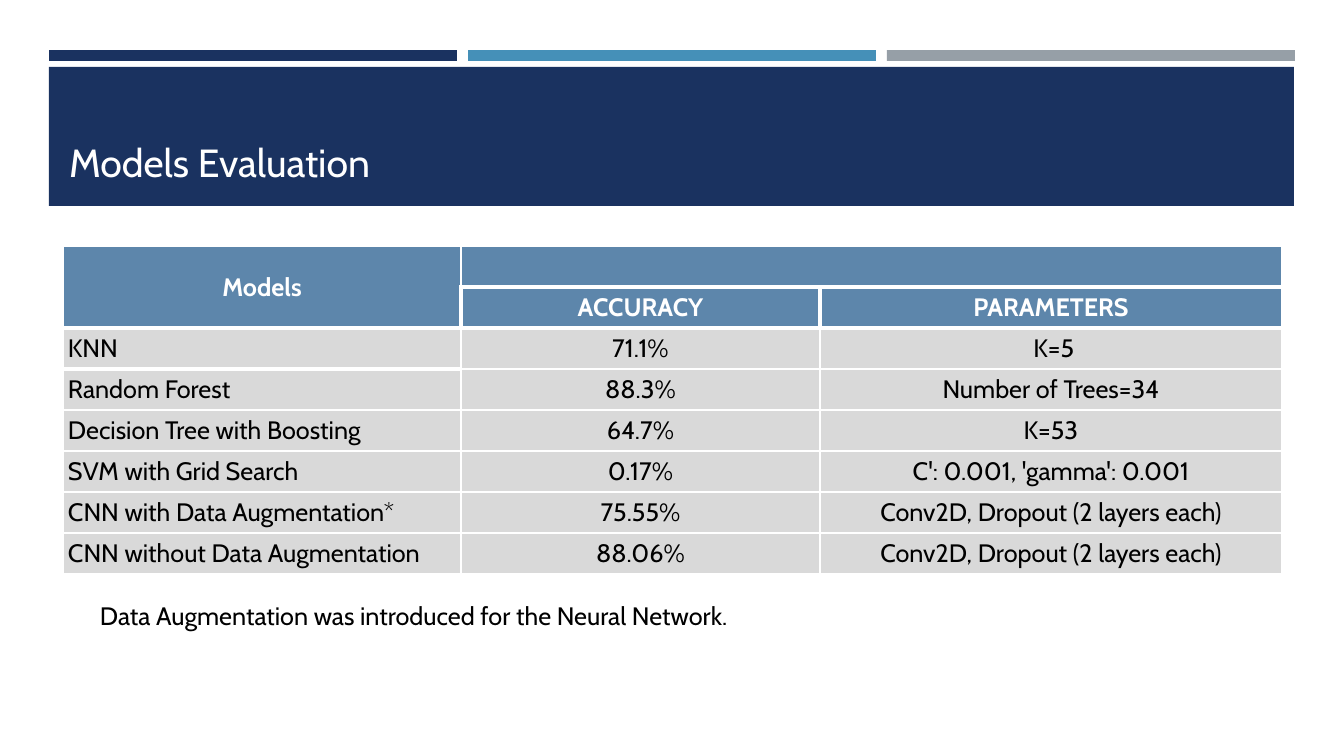
import pptx
import pptx.dml.color
import pptx.enum.dml
import pptx.enum.shapes
import pptx.enum.text
import pptx.oxml
import pptx.oxml.ns
import pptx.util

PX = 914400 / 100.8
ALIGN = pptx.enum.text.PP_ALIGN
ANCHOR = pptx.enum.text.MSO_ANCHOR
FIT = pptx.enum.text.MSO_AUTO_SIZE
THEME = {
    "font": "Cabin",
    "title_size": 28,
    "body_size": 18,
    "navy": "1A3260",
    "blue": "4590B8",
    "gray": "969FA7",
    "header": "5D86AB",
    "body": "D9D9D9",
    "white": "FFFFFF",
    "black": "000000",
}


def px(*lengths):
    return [pptx.util.Emu(round(length * PX)) for length in lengths]


def write(text, frame, size="body_size", color="black", bold=False, align=ALIGN.LEFT):
    paragraph = frame.paragraphs[0]
    paragraph.alignment = align
    run = paragraph.add_run()
    run.text = text
    run.font.name = THEME["font"]
    run.font.size = pptx.util.Pt(THEME[size])
    run.font.bold = bold
    run.font.color.rgb = pptx.dml.color.RGBColor.from_string(THEME[color])


deck = pptx.Presentation()
deck.slide_width, deck.slide_height = px(1344, 756)
slide = deck.slides.add_slide(deck.slide_layouts[6])

bands = [
    (49, 50, 408, 11, "navy"),
    (468, 50, 408, 11, "blue"),
    (887, 50, 408, 11, "gray"),
    (49, 67, 1245, 139, "navy"),
]
for left, top, width, height, color in bands:
    band = slide.shapes.add_shape(
        pptx.enum.shapes.MSO_SHAPE.RECTANGLE, *px(left, top, width, height)
    )
    band.shadow.inherit = False
    band.fill.solid()
    band.fill.fore_color.rgb = pptx.dml.color.RGBColor.from_string(THEME[color])
    band.line.fill.background()

inset = px(5)[0]
captions = [
    ("Models Evaluation", (64, 81, 1216, 109), ANCHOR.BOTTOM, FIT.NONE,
     {"size": "title_size", "color": "white"}),
    ("Data Augmentation was introduced for the Neural Network.", (95, 595, 971, 39),
     ANCHOR.TOP, FIT.SHAPE_TO_FIT_TEXT, {}),
]
for text, place, anchor, fit, style in captions:
    frame = slide.shapes.add_textbox(*px(*place)).text_frame
    frame.word_wrap = True
    frame.auto_size = fit
    frame.vertical_anchor = anchor
    frame.margin_left = frame.margin_right = inset
    frame.margin_top = frame.margin_bottom = inset
    write(text, frame, **style)

results = [
    ("Models", "", ""),
    ("", "ACCURACY", "PARAMETERS"),
    ("KNN", "71.1%", " K=5"),
    ("Random Forest", "88.3%", "Number of Trees=34"),
    ("Decision Tree with Boosting", "64.7%", "K=53"),
    ("SVM with Grid Search", "0.17%", "C': 0.001, 'gamma': 0.001"),
    ("CNN with Data Augmentation*", "75.55%", "Conv2D, Dropout (2 layers each)"),
    ("CNN without Data Augmentation", "88.06%", "Conv2D, Dropout (2 layers each)"),
]
header_rows = 2
column_widths = [398, 359, 462]
row_height = 41
evaluation = slide.shapes.add_table(
    len(results), len(column_widths),
    *px(63, 246, sum(column_widths), row_height * len(results)),
).table
for column, width in zip(evaluation.columns, px(*column_widths)):
    column.width = width
for row in evaluation.rows:
    row.height = px(row_height)[0]
evaluation.cell(0, 0).merge(evaluation.cell(1, 0))
evaluation.cell(0, 1).merge(evaluation.cell(0, 2))

heavy_horizontal = {(1, 1), (1, 2), (2, 0), (2, 1), (2, 2), (3, 0)}
heavy_vertical = {(1, 1), (1, 2)}
for r, labels in enumerate(results):
    is_header = r < header_rows
    for c, label in enumerate(labels):
        cell = evaluation.cell(r, c)
        cell.margin_left = cell.margin_right = inset
        cell.margin_top = cell.margin_bottom = inset
        cell.vertical_anchor = ANCHOR.MIDDLE if (r, c) == (0, 0) else ANCHOR.TOP
        if label:
            write(
                label, cell.text_frame, bold=is_header,
                color="white" if is_header else "black",
                align=ALIGN.CENTER if is_header or c else ALIGN.LEFT,
            )
        bottom = r + (cell.span_height if cell.is_merge_origin else 1)
        right = c + (cell.span_width if cell.is_merge_origin else 1)
        edges = {
            "lnL": (r, c) in heavy_vertical,
            "lnR": (r, right) in heavy_vertical,
            "lnT": (r, c) in heavy_horizontal,
            "lnB": (bottom, c) in heavy_horizontal,
        }
        properties = cell._tc.get_or_add_tcPr()
        for side, heavy in edges.items():
            properties.append(pptx.oxml.parse_xml(
                f'<a:{side} {pptx.oxml.ns.nsdecls("a")} w="{pptx.util.Pt(3 if heavy else 1)}">'
                f'<a:solidFill><a:srgbClr val="{THEME["white"]}"/></a:solidFill></a:{side}>'
            ))
        cell.fill.solid()
        cell.fill.fore_color.rgb = pptx.dml.color.RGBColor.from_string(
            THEME["header" if is_header else "body"]
        )

deck.save("out.pptx")
